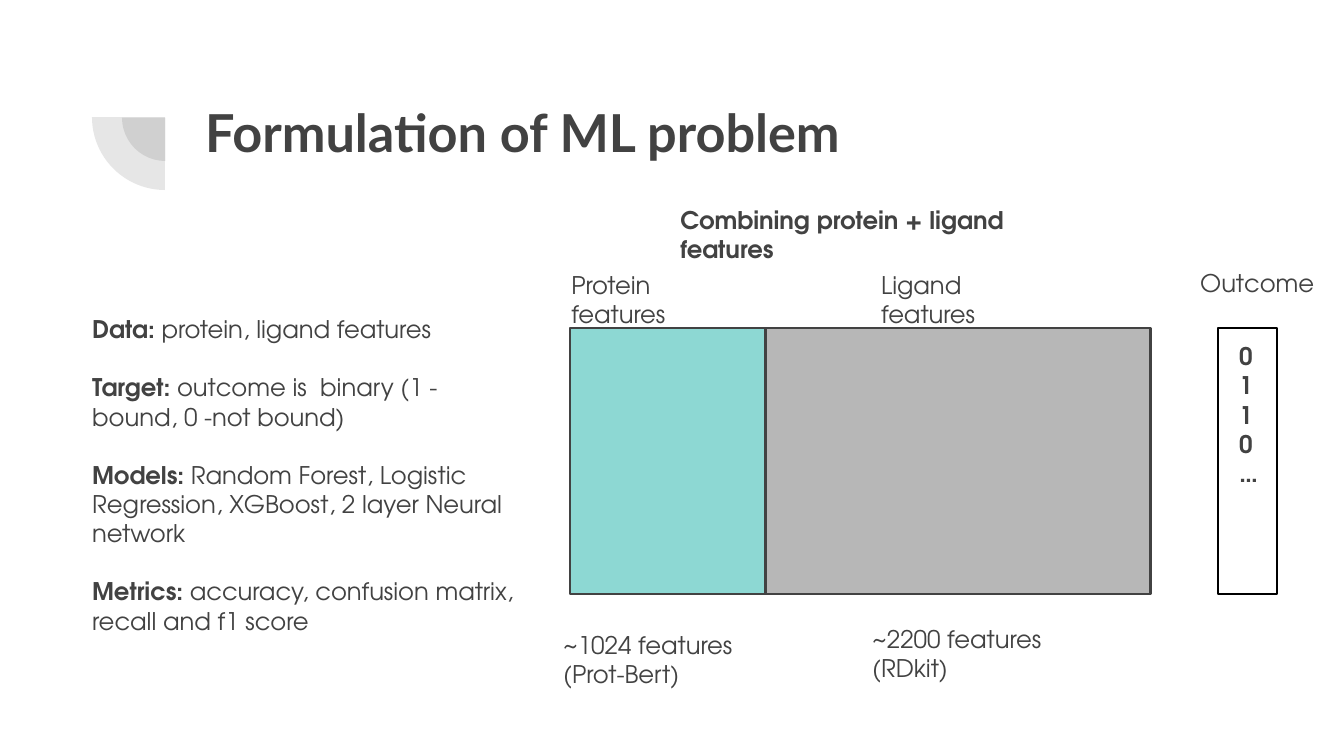
from lxml import etree
from pptx import Presentation
from pptx import util as u
from pptx.dml.color import RGBColor
from pptx.enum import shapes, text
from pptx.oxml import ns

PX = 914400 / 134.4
INK = RGBColor(0x42, 0x42, 0x42)
TEAL = RGBColor(0x8D, 0xD8, 0xD3)
GREY = RGBColor(0xB7, 0xB7, 0xB7)
WHITE = RGBColor(0xFF, 0xFF, 0xFF)
BLACK = RGBColor(0, 0, 0)
FONT = "TeX Gyre Adventor"
BLOCK_TOP, BLOCK_HEIGHT = 328, 266


def px(n):
    """Turn pixels into EMU."""
    return u.Emu(round(n * PX))


def add_box(s, kind, x, y, w, h, fill):
    """Add a flat filled preset shape."""
    sp = s.shapes.add_shape(kind, px(x), px(y), px(w), px(h))
    sp.shadow.inherit = False
    sp.fill.solid()
    sp.fill.fore_color.rgb = fill
    return sp


def add_pie(s, x, y, size):
    """Add a translucent quarter circle facing lower left."""
    sp = add_box(s, shapes.MSO_SHAPE.PIE, x, y, size, size, INK)
    sp.adjustments[0], sp.adjustments[1] = 108, 162
    sp.rotation = 270
    sp.line.fill.background()
    color = sp.fill._xPr.find(".//" + ns.qn("a:srgbClr"))
    etree.SubElement(color, ns.qn("a:alpha"), val="13000")


def add_block(s, x, w, fill, line=INK, weight=1.5):
    """Add one outlined column block of the feature diagram."""
    sp = add_box(s, shapes.MSO_SHAPE.RECTANGLE, x, BLOCK_TOP, w, BLOCK_HEIGHT, fill)
    sp.line.color.rgb = line
    sp.line.width = u.Pt(weight)


def style(p, size=13, bold=False, font=FONT):
    """Set the font of a whole paragraph."""
    p.font.size = u.Pt(size)
    p.font.name = font
    p.font.bold = bold
    p.font.color.rgb = INK


def add_text(s, x, y, w, h, lines, **font):
    """Add a text box with one paragraph per line and return its frame."""
    tf = s.shapes.add_textbox(px(x), px(y), px(w), px(h)).text_frame
    tf.word_wrap = True
    tf.vertical_anchor = text.MSO_ANCHOR.TOP
    tf.margin_left = tf.margin_right = tf.margin_top = tf.margin_bottom = u.Inches(0.1)
    for i, line in enumerate(lines):
        p = tf.paragraphs[0] if i == 0 else tf.add_paragraph()
        p.add_run().text = line
        style(p, **font)
    return tf


def add_summary(s, x, y, w, h, items):
    """Add spaced paragraphs that each open with a bold label."""
    tf = add_text(s, x, y, w, h, [label for label, _ in items])
    for p, (_, detail) in zip(tf.paragraphs, items):
        p.space_after = u.Pt(15.6)
        p.runs[0].font.bold = True
        p.add_run().text = " " + detail


def main():
    """Build the slide and save it."""
    prs = Presentation()
    prs.slide_width, prs.slide_height = px(1344), px(756)
    s = prs.slides.add_slide(prs.slide_layouts[6])

    add_pie(s, 122, 74, 87)
    add_pie(s, 92, 44, 146)
    add_text(s, 192, 87, 805, 102, ["Formulation of ML problem"],
             size=28, bold=True, font="Lato")
    add_summary(s, 79, 301, 448, 363, [
        ("Data:", "protein, ligand features"),
        ("Target:", "outcome is  binary (1 - bound, 0 -not bound)"),
        ("Models:", "Random Forest, Logistic Regression, XGBoost, 2 layer Neural network"),
        ("Metrics:", "accuracy, confusion matrix, recall and f1 score"),
    ])

    add_block(s, 570, 196, TEAL)
    add_block(s, 766, 385, GREY)
    add_block(s, 1218, 59, WHITE, BLACK, 0.75)

    for x, y, w, h, lines in (
        (558, 257, 204, 54, ["Protein features"]),
        (868, 257, 196, 54, ["Ligand features"]),
        (1187, 255, 148, 79, ["Outcome"]),
        (550, 617, 223, 79, ["~1024 features", "(Prot-Bert)"]),
        (859, 611, 215, 79, ["~2200 features", "(RDkit)"]),
    ):
        add_text(s, x, y, w, h, lines)
    add_text(s, 1226, BLOCK_TOP, 59, 212, ["0", "1", "1", "0", "…"], bold=True)
    add_text(s, 667, 192, 448, 63, ["Combining protein + ligand features"], bold=True)

    prs.save("out.pptx")


if __name__ == "__main__":
    main()
